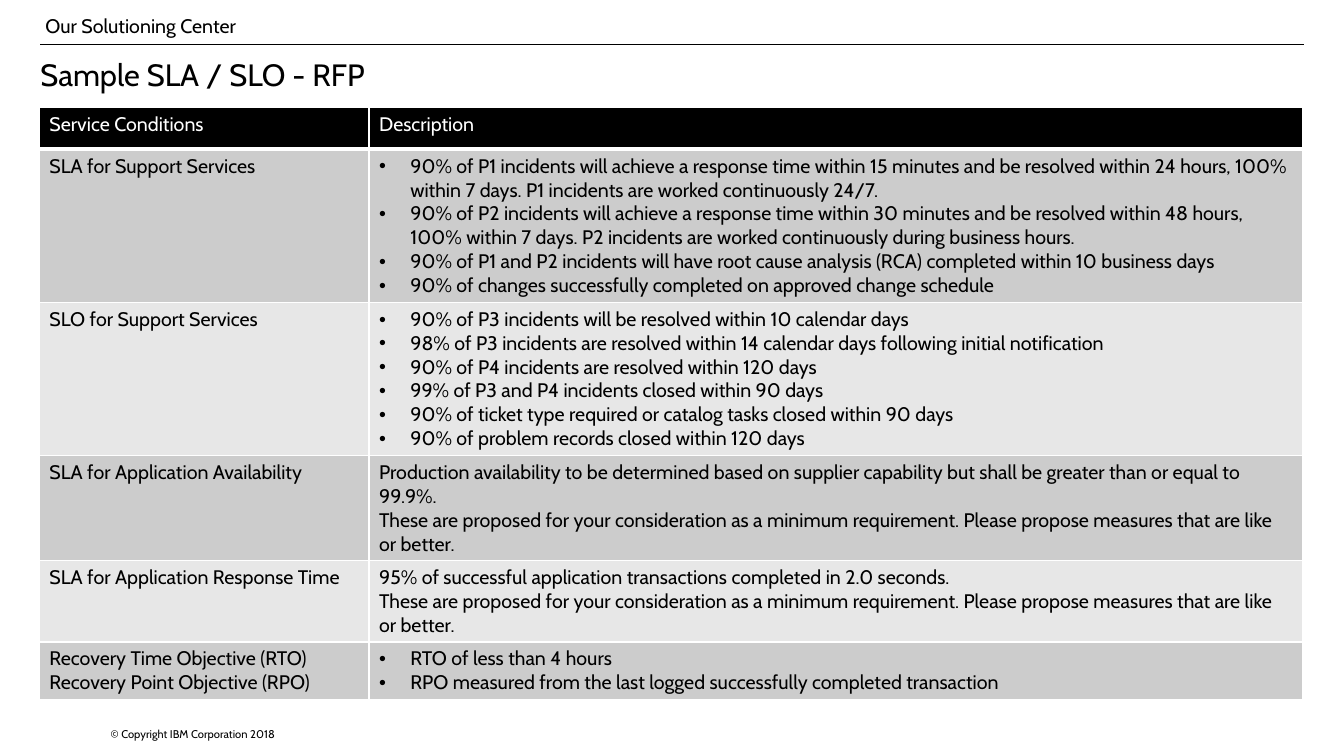
import pptx
import pptx.util
import pptx.dml.color
import pptx.enum.shapes
import pptx.enum.text
import lxml.etree
from pptx.util import Inches

NS = "{http://schemas.openxmlformats.org/drawingml/2006/main}"
ANCHOR = pptx.enum.text.MSO_ANCHOR
FIT = pptx.enum.text.MSO_AUTO_SIZE


def paint(color):
    return pptx.dml.color.RGBColor.from_string(color)


def write(frame, lines, size, color="000000", dots=False):
    for i, line in enumerate(lines):
        para = frame.paragraphs[0] if i == 0 else frame.add_paragraph()
        if dots:
            props = para._p.get_or_add_pPr()
            props.set("marL", str(Inches(0.31)))
            props.set("indent", str(Inches(-0.31)))
            lxml.etree.SubElement(props, NS + "buFont", typeface="Arial")
            lxml.etree.SubElement(props, NS + "buChar", char="•")
        para.alignment = pptx.enum.text.PP_ALIGN.LEFT
        run = para.add_run()
        run.text = line
        run.font.name = "Cabin"
        run.font.size = pptx.util.Pt(size)
        run.font.bold = False
        run.font.color.rgb = paint(color)


deck = pptx.Presentation()
deck.slide_width = Inches(13.33)
deck.slide_height = Inches(7.5)
slide = deck.slides.add_slide(deck.slide_layouts[5])
shapes = slide.shapes

foot = shapes.add_textbox(Inches(1), Inches(7.17), Inches(2.6), Inches(0.23)).text_frame
foot.word_wrap = True
foot.auto_size = FIT.SHAPE_TO_FIT_TEXT
write(foot, ["© Copyright IBM Corporation 2018"], 8)

rule = shapes.add_connector(
    pptx.enum.shapes.MSO_CONNECTOR.STRAIGHT,
    Inches(0.4), Inches(0.44), Inches(12.93), Inches(0.44))
rule.line.color.rgb = paint("000000")
rule.line.width = pptx.util.Pt(0.75)
lxml.etree.SubElement(rule._element.spPr, NS + "effectLst")

head = shapes.add_textbox(Inches(0.45), Inches(0.13), Inches(2.04), Inches(0.24)).text_frame
head.margin_left = head.margin_right = head.margin_top = head.margin_bottom = 0
head.vertical_anchor = ANCHOR.MIDDLE
head.word_wrap = False
head.auto_size = FIT.SHAPE_TO_FIT_TEXT
write(head, ["Our Solutioning Center"], 14)

title = shapes.title
title.left, title.top = Inches(0.4), Inches(0.5)
title.width, title.height = Inches(12.53), Inches(0.57)
frame = title.text_frame
frame.margin_left = frame.margin_right = 0
frame.margin_top = frame.margin_bottom = Inches(0.05)
frame.vertical_anchor = ANCHOR.TOP
frame.auto_size = FIT.NONE
write(frame, ["Sample SLA / SLO - RFP"], 22)

better = ("These are proposed for your consideration as a minimum requirement. "
          "Please propose measures that are like or better.")
rows = [
    (0.41, ["Service Conditions"], ["Description"], False),
    (1.52, ["SLA for Support Services"], [
        "90% of P1 incidents will achieve a response time within 15 minutes and be resolved "
        "within 24 hours, 100% within 7 days. P1 incidents are worked continuously 24/7.",
        "90% of P2 incidents will achieve a response time within 30 minutes and be resolved "
        "within 48 hours, 100% within 7 days. P2 incidents are worked continuously during "
        "business hours.",
        "90% of P1 and P2 incidents will have root cause analysis (RCA) completed within "
        "10 business days",
        "90% of changes successfully completed on approved change schedule",
    ], True),
    (1.52, ["SLO for Support Services"], [
        "90% of P3 incidents will be resolved within 10 calendar days",
        "98% of P3 incidents are resolved within 14 calendar days following initial notification",
        "90% of P4 incidents are resolved within 120 days",
        "99% of P3 and P4 incidents closed within 90 days",
        "90% of ticket type required or catalog tasks closed within 90 days",
        "90% of problem records closed within 120 days",
    ], True),
    (1.04, ["SLA for Application Availability"], [
        "Production availability to be determined based on supplier capability but shall be "
        "greater than or equal to 99.9%.",
        better,
    ], False),
    (0.81, ["SLA for Application Response Time"], [
        "95% of successful application transactions completed in 2.0 seconds.",
        better,
    ], False),
    (0.57, ["Recovery Time Objective (RTO)", "Recovery Point Objective (RPO)"], [
        "RTO of less than 4 hours",
        "RPO measured from the last logged successfully completed transaction",
    ], True),
]

table = shapes.add_table(
    len(rows), 2, Inches(0.39), Inches(1.07), Inches(12.53), Inches(5.87)).table
table.horz_banding = False
table.columns[0].width = Inches(3.27)
table.columns[1].width = Inches(9.26)
for r, (height, name, text, dots) in enumerate(rows):
    table.rows[r].height = Inches(height)
    fill = "000000" if r == 0 else ("E7E7E7", "CCCCCC")[r % 2]
    for c, lines in enumerate((name, text)):
        cell = table.cell(r, c)
        props = cell._tc.get_or_add_tcPr()
        for side in ("lnL", "lnR", "lnT", "lnB"):
            thick = (r, side) in ((0, "lnB"), (1, "lnT"))
            width = pptx.util.Pt(3 if thick else 1)
            edge = lxml.etree.SubElement(props, NS + side, w=str(width))
            solid = lxml.etree.SubElement(edge, NS + "solidFill")
            lxml.etree.SubElement(solid, NS + "srgbClr", val="FFFFFF")
        cell.fill.solid()
        cell.fill.fore_color.rgb = paint(fill)
        write(cell.text_frame, lines, 14, "FFFFFF" if r == 0 else "000000", dots and c == 1)

deck.save("out.pptx")
